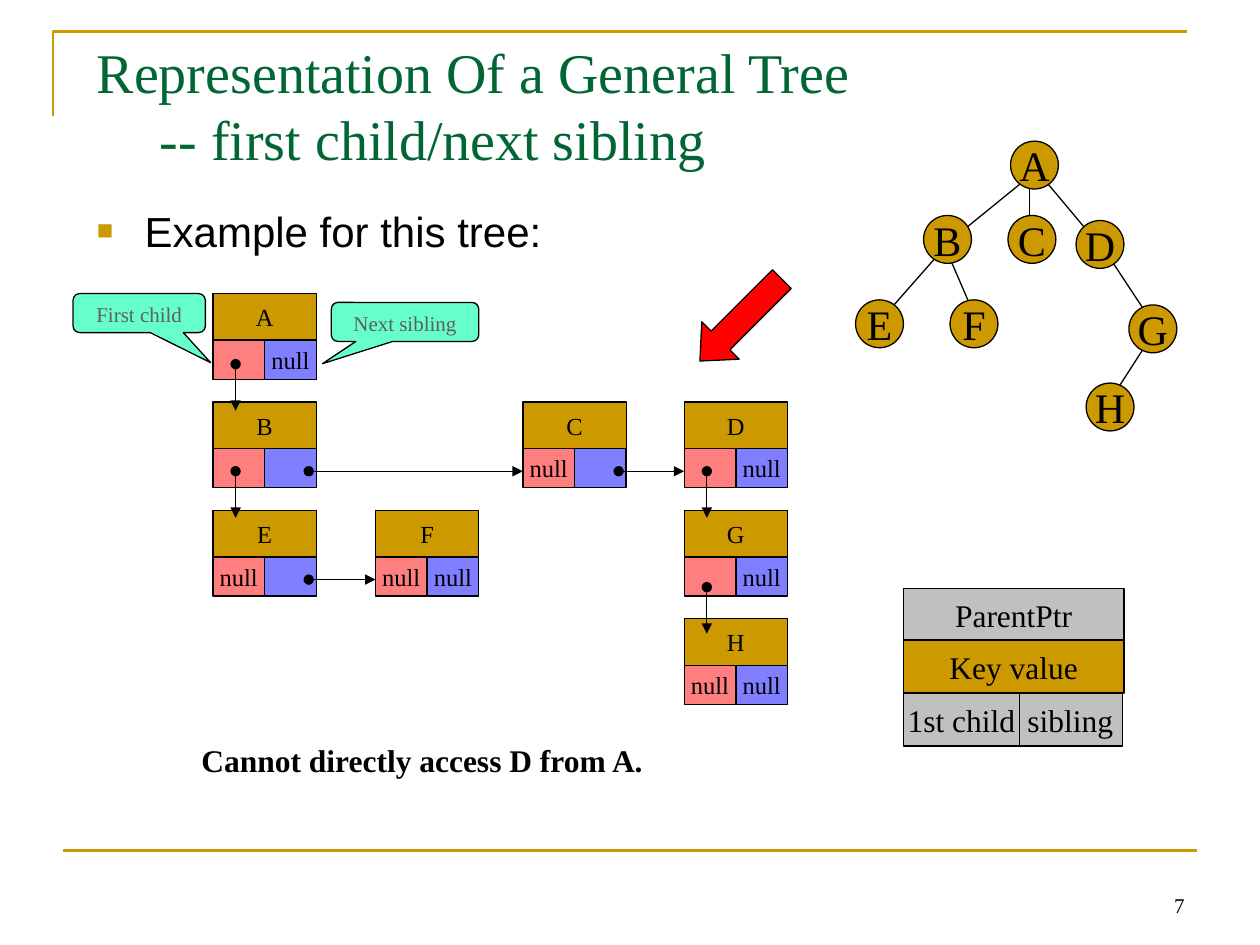
import pptx
import pptx.util
import pptx.dml.color
import pptx.enum.shapes
import pptx.enum.text
import pptx.oxml
import pptx.oxml.ns
from lxml import etree

Inches = pptx.util.Inches
Pt = pptx.util.Pt
RGB = pptx.dml.color.RGBColor.from_string
qn = pptx.oxml.ns.qn
SHAPE = pptx.enum.shapes.MSO_SHAPE
ALIGN = pptx.enum.text.PP_ALIGN
ANCHOR = pptx.enum.text.MSO_ANCHOR

SERIF = "Times New Roman"
THEME = {
    "gold": "CC9900", "black": "000000", "mint": "66FFCC", "grey": "C0C0C0",
    "red": "FF0000", "blue": "0000FF", "thin": Pt(0.75), "rule": Pt(1.5),
    "title": ({"name": SERIF, "size": Pt(32)}, "006633"),
    "body": ({"name": "Arial", "size": Pt(24)}, "000000"),
    "node": ({"name": SERIF, "size": Pt(24)}, "000000"),
    "cell": ({"name": SERIF, "size": Pt(14)}, "000000"),
    "callout": ({"name": SERIF, "size": Pt(12)}, "5F5F5F"),
    "number": ({"name": SERIF, "size": Pt(12)}, "000000"),
    "legend": ({"name": SERIF, "size": Pt(18)}, "000000"),
    "remark": ({"name": SERIF, "size": Pt(18), "bold": True}, "000000"),
}

deck = pptx.Presentation()
deck.slide_width, deck.slide_height = Inches(10), Inches(7.5)
slide = deck.slides.add_slide(deck.slide_layouts[6])


def place(kind, area, text="", style="cell", fill=None, align=ALIGN.CENTER,
          anchor=ANCHOR.MIDDLE, wrap=False, alpha=None):
    area = [Inches(length) for length in area]
    if kind is None:
        item = slide.shapes.add_textbox(*area)
    else:
        item = slide.shapes.add_shape(kind, *area)
        item.shadow.inherit = False
        item.fill.solid()
        item.fill.fore_color.rgb = RGB(THEME[fill])
        item.line.color.rgb = RGB(THEME["black"])
        item.line.width = THEME["thin"]
    if alpha:
        color = item.element.spPr.find(qn("a:solidFill")).find(qn("a:srgbClr"))
        etree.SubElement(color, qn("a:alpha"), val=str(alpha * 1000))
    if text:
        frame = item.text_frame
        frame.word_wrap = wrap
        frame.vertical_anchor = anchor
        frame.text = text
        frame.paragraphs[0].alignment = align
        values, color = THEME[style]
        for run in frame.paragraphs[0].runs:
            for name, value in values.items():
                setattr(run.font, name, value)
            run.font.color.rgb = RGB(color)
    return item


def link(x1, y1, x2, y2, color="black", width="thin", pointer=False):
    line = slide.shapes.add_connector(
        pptx.enum.shapes.MSO_CONNECTOR.STRAIGHT,
        Inches(x1), Inches(y1), Inches(x2), Inches(y2))
    line.line.color.rgb = RGB(THEME[color])
    line.line.width = THEME[width]
    properties = line.element.spPr
    if pointer:
        outline = properties.find(qn("a:ln"))
        etree.SubElement(outline, qn("a:headEnd"), type="oval")
        etree.SubElement(outline, qn("a:tailEnd"), type="triangle")
    etree.SubElement(properties, qn("a:effectLst"))


corner_path = slide.shapes.build_freeform(Inches(0.42), Inches(0.92))
corner_path.add_line_segments(
    [(Inches(0.42), Inches(0.25)), (Inches(9.42), Inches(0.25))], close=False)
corner = corner_path.convert_to_shape()
corner.shadow.inherit = False
corner.fill.background()
corner.line.color.rgb = RGB(THEME["gold"])
corner.line.width = THEME["rule"]
link(0.5, 6.75, 9.5, 6.75, "gold", "rule")

place(None, (7.17, 6.83, 2.33, 0.5), "7", "number", align=ALIGN.RIGHT,
      anchor=ANCHOR.BOTTOM, wrap=True)
place(None, (0.67, 0.33, 7.5, 1),
      "Representation Of a General Tree\v\t-- first child/next sibling",
      "title", align=ALIGN.LEFT, wrap=True)

example = place(None, (0.67, 1.58, 4.92, 0.67), "Example for this tree:", "body",
                align=ALIGN.LEFT, anchor=ANCHOR.TOP, wrap=True)
bullet = example.text_frame.paragraphs[0]._p.get_or_add_pPr()
bullet.set("marL", str(Inches(0.38)))
bullet.set("indent", str(-Inches(0.38)))
bullet_color = etree.SubElement(bullet, qn("a:buClr"))
etree.SubElement(bullet_color, qn("a:srgbClr"), val=THEME["gold"])
etree.SubElement(bullet, qn("a:buSzPct"), val="65000")
etree.SubElement(bullet, qn("a:buFont"), typeface="Arial")
etree.SubElement(bullet, qn("a:buChar"), char="■")

tree_edges = (
    (8.17, 1.29, 8.17, 1.96), (9.17, 2.62, 8.79, 3.21), (8.75, 1.96, 9.08, 2.46),
    (7.5, 1.96, 6.92, 2.62), (7.5, 1.96, 7.75, 2.54), (8.17, 1.4, 7.58, 1.88),
    (8.25, 1.38, 8.67, 1.88),
)
for edge in tree_edges:
    link(*edge)

tree_nodes = {
    "A": (8.02, 1.12), "B": (7.33, 1.71), "D": (8.54, 1.75), "F": (7.54, 2.38),
    "G": (8.96, 2.42), "H": (8.62, 3.04), "E": (6.79, 2.38), "C": (8, 1.71),
}
for key, corner_point in tree_nodes.items():
    place(SHAPE.OVAL, (*corner_point, 0.38, 0.38), key, "node", "gold")

columns = (1.69, 2.98, 4.15, 5.43)
records = {
    "A": (0, 0, "", "null"), "B": (0, 1, "", ""), "E": (0, 2, "null", ""),
    "H": (3, 3, "null", "null"), "C": (2, 1, "null", ""), "D": (3, 1, "", "null"),
    "F": (1, 2, "null", "null"), "G": (3, 2, "", "null"),
}
corners = {}
for key, (column, row, child, sibling) in records.items():
    left, top = columns[column], 2.33 + 0.86 * row
    corners[key] = left, top
    place(SHAPE.RECTANGLE, (left, top, 0.82, 0.37), key, fill="gold")
    place(SHAPE.RECTANGLE, (left, top + 0.37, 0.41, 0.31), child, fill="red", alpha=50)
    place(SHAPE.RECTANGLE, (left + 0.41, top + 0.37, 0.41, 0.31), sibling,
          fill="blue", alpha=50)

callouts = (
    ("First child", (0.58, 2.33, 1.05, 0.31), (0.54, 1.27, 0.17)),
    ("Next sibling", (2.63, 2.4, 1.17, 0.31), (-0.56, 1.07, 0.17)),
)
for caption, area, tip in callouts:
    callout = place(SHAPE.ROUNDED_RECTANGULAR_CALLOUT, area, caption, "callout", "mint",
                    anchor=ANCHOR.TOP, wrap=True)
    for index, value in enumerate(tip):
        callout.adjustments[index] = value

for parent, drop in (("A", 0.56), ("B", 0.55), ("D", 0.55), ("G", 0.61)):
    left, top = corners[parent]
    link(left + 0.18, top + drop, left + 0.18, top + drop + 0.37, pointer=True)
for key, sibling in (("B", "C"), ("C", "D"), ("E", "F")):
    left, top = corners[key]
    link(left + 0.76, top + 0.55, corners[sibling][0], top + 0.55, pointer=True)

arrow = place(SHAPE.LEFT_ARROW, (5.42, 2.33, 0.92, 0.42), fill="red")
arrow.rotation = 315
arrow.adjustments[1] = 0.55

place(None, (1.5, 5.83, 3.75, 0.4), "Cannot directly access D from A.", "remark",
      align=ALIGN.LEFT, anchor=ANCHOR.TOP, wrap=True)

legend = (
    ("ParentPtr", 7.17, 4.67, 1.75, "grey"), ("Key value", 7.17, 5.08, 1.75, "gold"),
    ("sibling", 8.08, 5.5, 0.83, "grey"), ("1st child", 7.17, 5.5, 0.92, "grey"),
)
for caption, left, top, width, fill in legend:
    field = place(SHAPE.RECTANGLE, (left, top, width, 0.42), caption, "legend", fill)
    field.text_frame.margin_left = field.text_frame.margin_right = Inches(0)

deck.save("out.pptx")
